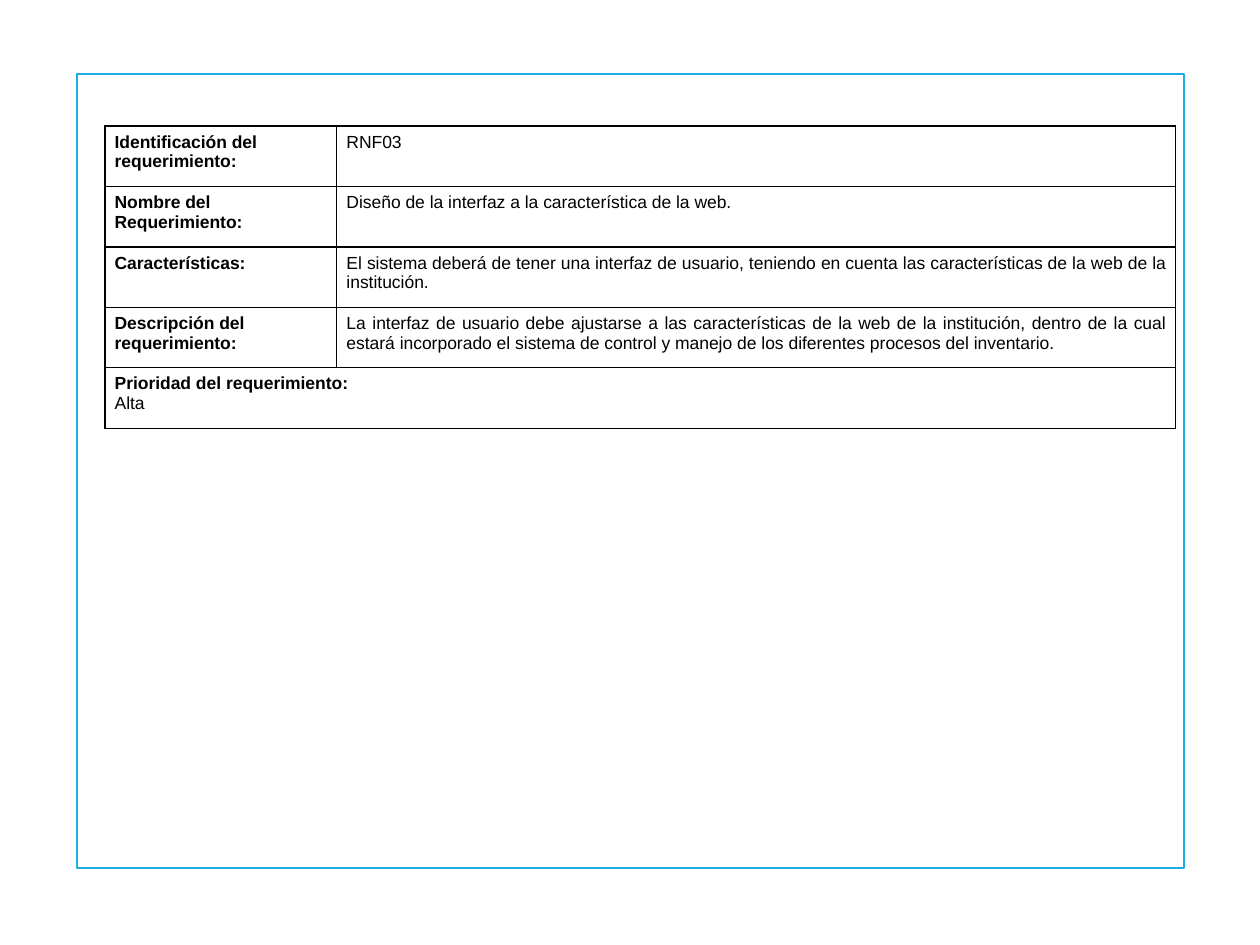
from dataclasses import dataclass

from lxml.etree import SubElement
from pptx import Presentation
from pptx.dml.color import RGBColor
from pptx.enum.shapes import MSO_SHAPE
from pptx.enum.text import PP_ALIGN
from pptx.oxml.ns import qn
from pptx.slide import Slide
from pptx.table import Table, _Cell
from pptx.util import Inches, Pt

FRAME_COLOR = "1CADE4"
INK = "000000"
THIN, THICK = 0.75, 1.25
COLUMN_WIDTHS = (1.84, 6.66)
ROW_HEIGHT = 0.48


@dataclass
class Requirement:
    label: str
    detail: str
    justified: bool = False


REQUIREMENTS = [
    Requirement("Identificación del requerimiento:", "RNF03"),
    Requirement("Nombre del Requerimiento:",
                "Diseño de la interfaz a la característica de la web."),
    Requirement("Características:",
                "El sistema deberá de tener una interfaz de usuario, teniendo en cuenta "
                "las características de la web de la institución.", True),
    Requirement("Descripción del requerimiento:",
                "La interfaz de usuario debe ajustarse a las características de la web "
                "de la institución, dentro de la cual estará incorporado el sistema de "
                "control y manejo de los diferentes procesos del inventario.", True),
]
PRIORITY = Requirement("Prioridad del requerimiento:", "Alta")


def color(value: str) -> RGBColor:
    return RGBColor.from_string(value)


def draw_frame(slide: Slide) -> None:
    frame = slide.shapes.add_shape(
        MSO_SHAPE.RECTANGLE, Inches(0.61), Inches(0.59), Inches(8.79), Inches(6.3))
    frame.shadow.inherit = False
    frame.fill.background()
    frame.line.color.rgb = color(FRAME_COLOR)
    frame.line.width = Pt(1.25)


def write_cell(cell: _Cell, text: str, bold: bool, justified: bool = False) -> None:
    cell.text_frame.text = text
    for paragraph in cell.text_frame.paragraphs:
        paragraph.alignment = PP_ALIGN.JUSTIFY if justified else PP_ALIGN.LEFT
        for run in paragraph.runs:
            run.font.name = "Arial"
            run.font.size = Pt(10)
            run.font.bold = bold
            run.font.color.rgb = color(INK)


def style_cell(cell: _Cell, widths: dict[str, float]) -> None:
    """Set margins, borders (points by side) and an empty fill."""
    cell.margin_left = cell.margin_right = Inches(0.08)
    cell.margin_top = cell.margin_bottom = Inches(0.05)
    properties = cell._tc.get_or_add_tcPr()
    for side, width in widths.items():
        border = SubElement(properties, qn(f"a:ln{side}"), w=str(Pt(width)))
        fill = SubElement(border, qn("a:solidFill"))
        SubElement(fill, qn("a:srgbClr"), val=INK)
    cell.fill.background()


def add_requirement_table(slide: Slide) -> Table:
    row_count = len(REQUIREMENTS) + 1
    table = slide.shapes.add_table(
        row_count, len(COLUMN_WIDTHS), Inches(0.83), Inches(1),
        Inches(sum(COLUMN_WIDTHS)), Inches(ROW_HEIGHT * row_count)).table
    table.first_row = table.horz_banding = False
    for column, width in zip(table.columns, COLUMN_WIDTHS):
        column.width = Inches(width)
    for row_index, row in enumerate(table.rows):
        row.height = Inches(ROW_HEIGHT)
        for column_index, cell in enumerate(row.cells):
            style_cell(cell, {
                "L": THICK if column_index == 0 else THIN,
                "R": THICK if column_index == len(COLUMN_WIDTHS) - 1 else THIN,
                "T": THICK if row_index == 0 else THIN,
                "B": THIN,
            })
    return table


def fill_requirement_table(table: Table) -> None:
    for row_index, requirement in enumerate(REQUIREMENTS):
        write_cell(table.cell(row_index, 0), requirement.label, bold=True)
        write_cell(table.cell(row_index, 1), requirement.detail, bold=False,
                   justified=requirement.justified)
    last_row = len(REQUIREMENTS)
    priority = table.cell(last_row, 0)
    priority.merge(table.cell(last_row, 1))
    write_cell(priority, f"{PRIORITY.label}\n{PRIORITY.detail}", bold=False)
    priority.text_frame.paragraphs[0].runs[0].font.bold = True


def main() -> None:
    presentation = Presentation()
    presentation.slide_width = Inches(10)
    presentation.slide_height = Inches(7.5)
    slide = presentation.slides.add_slide(presentation.slide_layouts[6])
    draw_frame(slide)
    fill_requirement_table(add_requirement_table(slide))
    presentation.save("out.pptx")


if __name__ == "__main__":
    main()
